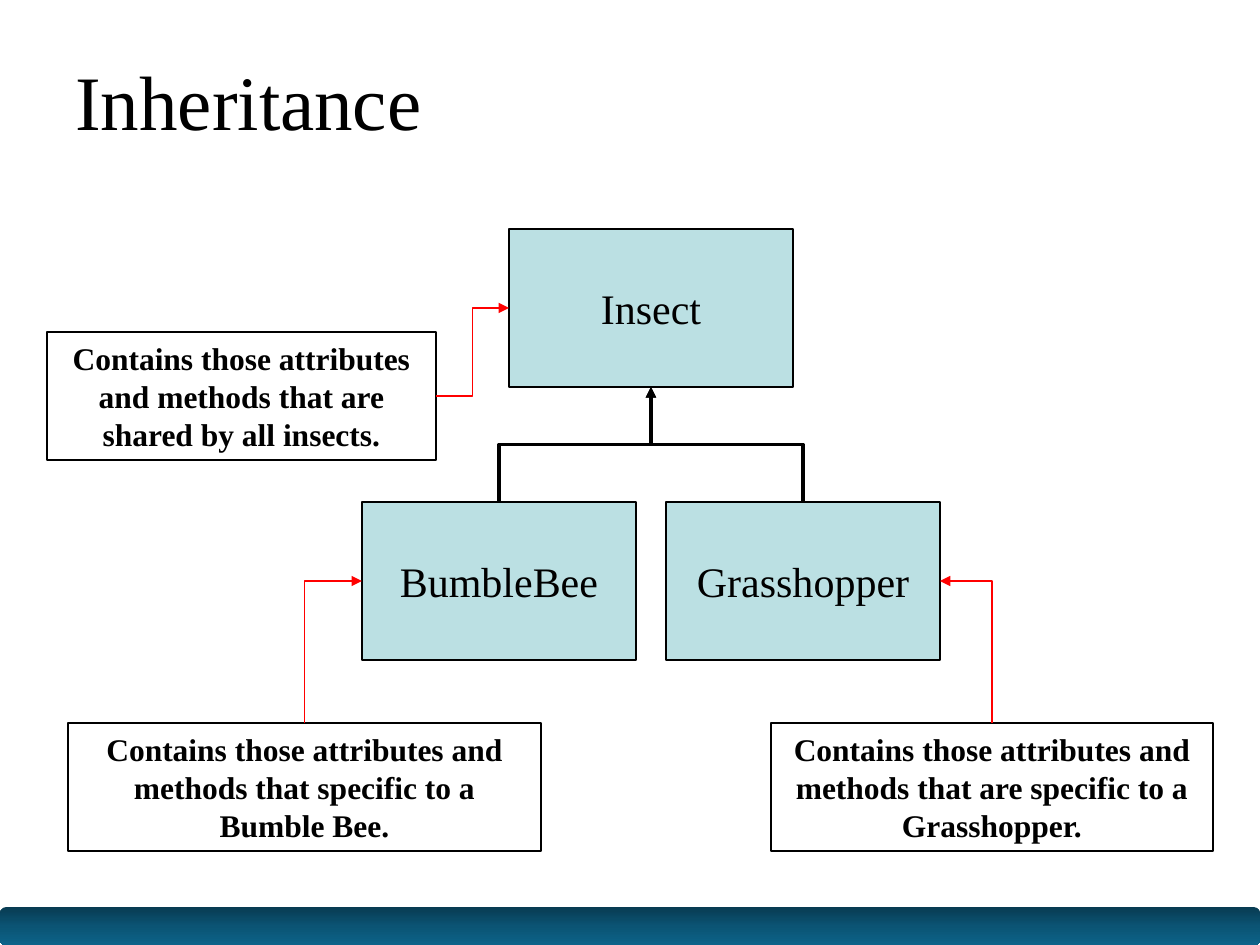
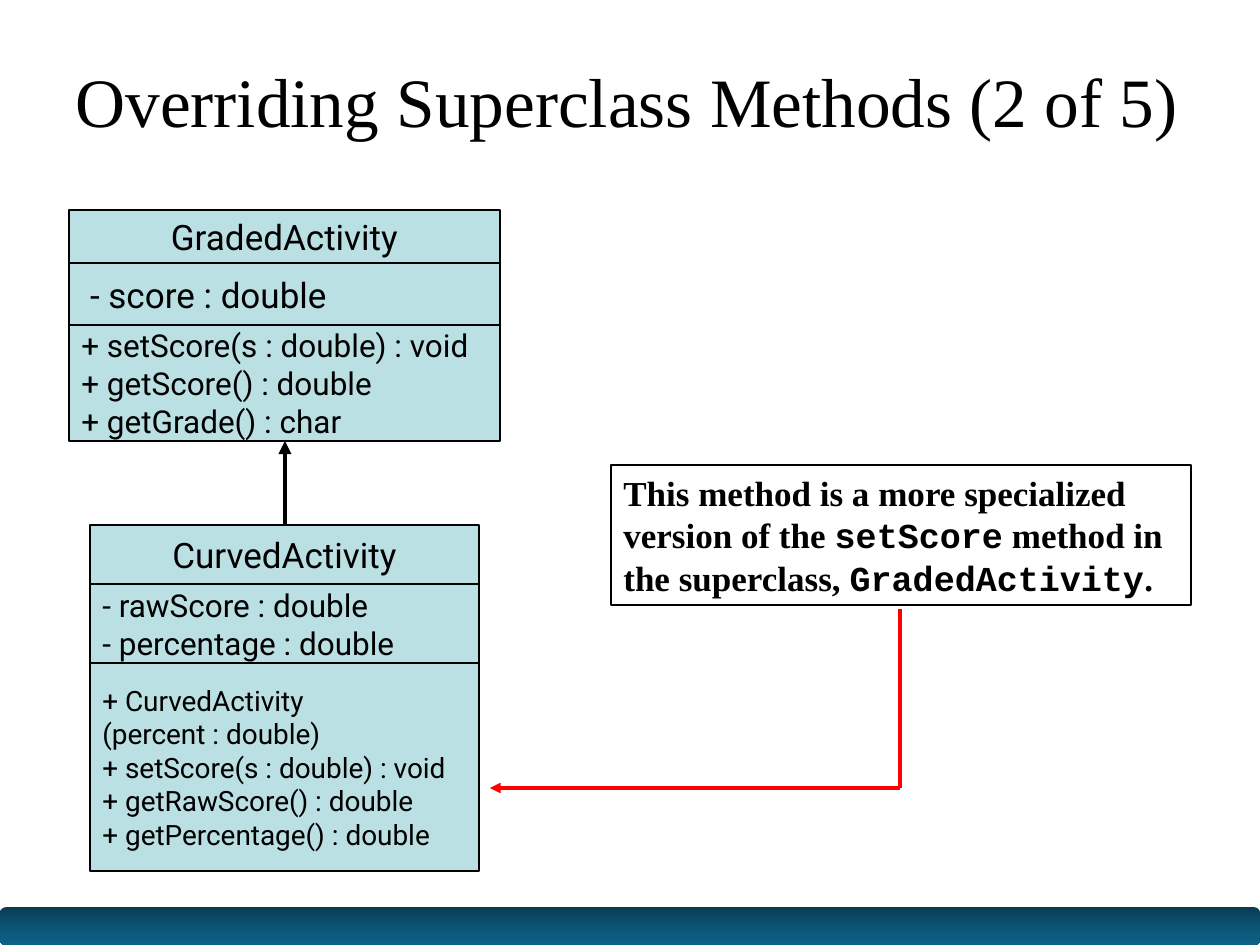
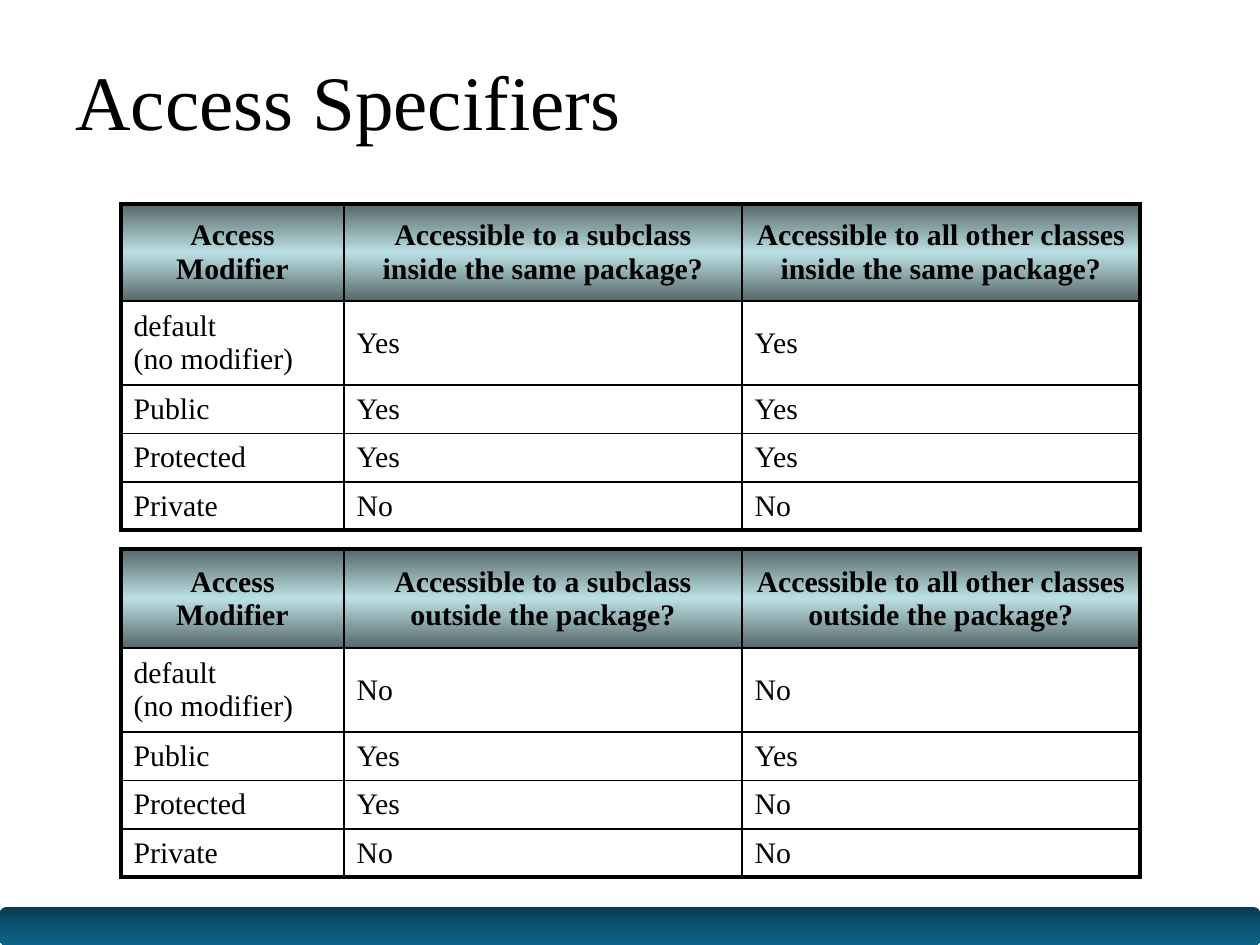
from copy import deepcopy

from lxml.etree import SubElement
from pptx import Presentation
from pptx.dml.color import RGBColor
from pptx.enum.shapes import MSO_CONNECTOR as Link, MSO_SHAPE as Form
from pptx.enum.text import MSO_ANCHOR as Anchor, PP_ALIGN as Align
from pptx.oxml.ns import qn
from pptx.util import Emu, Pt

# Shared look
BLACK, RED, TEAL = "000000", "FF0000", "BBE0E3"
BAND = ["083B52", "0B5474", "0D638A"]
HEAD = ["576869", TEAL, "576869"]
SERIF, SANS, MONO = "Times New Roman", "Roboto", "Courier New"

# Inheritance: class boxes and notes as (text, left, top, width, height)
INSECT = ("Insect", 509, 229, 284, 158)
BEE = ("BumbleBee", 362, 502, 274, 158)
HOPPER = ("Grasshopper", 666, 502, 274, 158)
SHARED = ("Contains those attributes and methods that are shared by all insects.",
          47, 332, 389, 128)
BEE_NOTE = ("Contains those attributes and methods that specific to a Bumble Bee.",
            68, 723, 473, 128)
HOP_NOTE = ("Contains those attributes and methods that are specific to a Grasshopper.",
            771, 723, 442, 128)

# Overriding: class diagrams as left, top, width and parts of
# (height, font size, alignment, lines)
GRADED = (69, 210, 431, [
    (53, 20, Align.CENTER, ["GradedActivity"]),
    (62, 20, Align.LEFT, [" - score : double"]),
    (116, 18, Align.LEFT, ["+ setScore(s : double) : void",
                           "+ getScore() : double",
                           "+ getGrade() : char"]),
])
CURVED = (90, 525, 389, [
    (59, 20, Align.CENTER, ["CurvedActivity"]),
    (79, 18, Align.LEFT, ["- rawScore : double", "- percentage : double"]),
    (208, 16, Align.LEFT, ["+ CurvedActivity", "(percent : double)",
                           "+ setScore(s : double) : void",
                           "+ getRawScore() : double",
                           "+ getPercentage() : double"]),
])
REMARK = [("This method is a more specialized version of the ", SERIF),
          ("setScore", MONO), (" method in the superclass, ", SERIF),
          ("GradedActivity", MONO), (".", SERIF)]

# Access specifiers: (top, head height, heads, answers)
NAMES = ["default\v(no modifier)", "Public", "Protected", "Private"]
COLS = [223, 398, 398]
ROWS = [83, 47, 47, 47]
GRIDS = [
    (204, 97, ["Access Modifier",
               "Accessible to a subclass inside the same package?",
               "Accessible to all other classes inside the same package?"],
     [("Yes", "Yes"), ("Yes", "Yes"), ("Yes", "Yes"), ("No", "No")]),
    (549, 99, ["Access Modifier",
               "Accessible to a subclass outside the package?",
               "Accessible to all other classes outside the package?"],
     [("No", "No"), ("Yes", "Yes"), ("Yes", "No"), ("No", "No")]),
]


def px(*sizes):
    return [Emu(round(size * 914400 / 126)) for size in sizes]


def rgb(color):
    return RGBColor.from_string(color)


def grade(fill, colors):
    """Fill from top to bottom with three even stops."""
    fill.gradient()
    fill.gradient_angle = 270
    last = fill.gradient_stops[1]._gs
    last.addnext(deepcopy(last))
    for i, (stop, color) in enumerate(zip(fill.gradient_stops, colors)):
        stop.position = i / 2
        stop.color.rgb = rgb(color)


def style(par, size, face=SERIF, bold=False, align=Align.LEFT):
    par.alignment = align
    font = par.font
    font.size, font.name, font.bold = Pt(size), face, bold
    font.color.rgb = rgb(BLACK)


def box(slide, place, lines, size, face=SERIF, bold=False, align=Align.CENTER,
        fill=None, width=0.75):
    shape = slide.shapes.add_shape(Form.RECTANGLE, *px(*place))
    shape.shadow.inherit = False
    if fill:
        shape.fill.solid()
        shape.fill.fore_color.rgb = rgb(fill)
    else:
        shape.fill.background()
    shape.line.color.rgb = rgb(BLACK)
    shape.line.width = Pt(width)
    frame = shape.text_frame
    frame.word_wrap = not fill
    frame.vertical_anchor = Anchor.MIDDLE
    frame.text = "\n".join(lines)
    for par in frame.paragraphs:
        style(par, size, face, bold, align)
    return shape


def wire(slide, start, end, color, width, form=Link.STRAIGHT, arrow=True):
    line = slide.shapes.add_connector(form, *px(*start, *end))
    line.line.color.rgb = rgb(color)
    line.line.width = Pt(width)
    if arrow:
        SubElement(line.line._get_or_add_ln(), qn("a:tailEnd"), type="triangle")
    SubElement(line._element.spPr, qn("a:effectLst"))
    return line


def climb(slide, start, end, color, width, bends):
    """Elbow that leaves upwards: a level elbow turned by a quarter."""
    (x1, y1), (x2, y2) = start, end
    mid_x, mid_y = (x1 + x2) / 2, (y1 + y2) / 2
    side = 1 if x2 > x1 else -1
    dx, dy = side * (y1 - y2) / 2, abs(x2 - x1) / 2
    line = wire(slide, (mid_x - dx, mid_y - dy), (mid_x + dx, mid_y + dy),
                color, width, Link.ELBOW)
    props = line._element.spPr
    props.find(qn("a:xfrm")).set("rot", str((270 if side > 0 else 90) * 60000))
    props.find(qn("a:prstGeom")).set("prst", f"bentConnector{bends + 1}")


def spot(item, across, down):
    """Point at a share of the width and height of a box."""
    _, left, top, width, height = item
    return left + across * width, top + down * height


def page(deck, title, size=44):
    slide = deck.slides.add_slide(deck.slide_layouts[6])
    band = slide.shapes.add_shape(Form.ROUNDED_RECTANGLE, *px(0, 907, 1260, 39))
    band.shadow.inherit = False
    band.line.fill.background()
    grade(band.fill, BAND)
    frame = slide.shapes.add_textbox(*px(63, 30, 1134, 151)).text_frame
    frame.word_wrap = True
    frame.vertical_anchor = Anchor.MIDDLE
    frame.text = title
    style(frame.paragraphs[0], size)
    frame.paragraphs[0].line_spacing = 0.9
    return slide


def stack(slide, left, top, width, parts):
    for height, size, align, lines in parts:
        box(slide, (left, top, width, height), lines, size, SANS,
            align=align, fill=TEAL)
        top += height


def edge(cell, side, width):
    line = SubElement(cell._tc.get_or_add_tcPr(), qn(f"a:ln{side}"),
                      w=str(Pt(width)))
    SubElement(SubElement(line, qn("a:solidFill")), qn("a:srgbClr"), val=BLACK)


def grid(slide, top, head, heads, answers):
    rows = [heads] + [(name, *pair) for name, pair in zip(NAMES, answers)]
    highs = [head] + ROWS
    table = slide.shapes.add_table(len(rows), len(COLS), *px(
        121, top, sum(COLS), sum(highs))).table
    table.first_row = table.horz_banding = False
    for col, wide in zip(table.columns, px(*COLS)):
        col.width = wide
    for row, high in zip(table.rows, px(*highs)):
        row.height = high
    for r, row in enumerate(rows):
        for c, text in enumerate(row):
            cell = table.cell(r, c)
            cell.vertical_anchor = Anchor.MIDDLE
            cell.text = text
            style(cell.text_frame.paragraphs[0], 17, bold=r == 0,
                  align=Align.LEFT if r else Align.CENTER)
            outer = {"L": c == 0, "R": c == len(COLS) - 1,
                     "T": r == 0, "B": r == len(rows) - 1}
            for side, thick in outer.items():
                edge(cell, side, 2.25 if thick else 1)
            if r:
                cell.fill.background()
            else:
                grade(cell.fill, HEAD)


def main():
    deck = Presentation()
    deck.slide_width, deck.slide_height = px(1260, 945)

    # Inheritance
    slide = page(deck, "Inheritance")
    for text, *place in (INSECT, HOPPER, BEE):
        box(slide, place, [text], 24, fill=TEAL)
    for child in (BEE, HOPPER):
        climb(slide, spot(child, 0.5, 0), spot(INSECT, 0.5, 1), BLACK, 2, 2)
    for text, *place in (SHARED, BEE_NOTE, HOP_NOTE):
        box(slide, place, [text], 18, bold=True)
    wire(slide, spot(SHARED, 1, 0.5), spot(INSECT, 0, 0.5), RED, 1, Link.ELBOW)
    for note, child, across in ((BEE_NOTE, BEE, 0), (HOP_NOTE, HOPPER, 1)):
        climb(slide, spot(note, 0.5, 0), spot(child, across, 0.5), RED, 1, 1)

    # Overriding superclass methods
    slide = page(deck, "Overriding Superclass Methods (2 of 5)", 39.6)
    stack(slide, *GRADED)
    stack(slide, *CURVED)
    wire(slide, (285, 525), (285, 441), BLACK, 2.5)
    note = box(slide, (611, 465, 580, 140), [""], 20, bold=True,
               align=Align.LEFT, width=1)
    for text, face in REMARK:
        run = note.text_frame.paragraphs[0].add_run()
        run.text, run.font.name = text, face
    wire(slide, (900, 788), (490, 788), RED, 2)
    wire(slide, (900, 609), (900, 788), RED, 2, arrow=False)

    # Access specifiers
    slide = page(deck, "Access Specifiers")
    for item in GRIDS:
        grid(slide, *item)

    deck.save("out.pptx")


if __name__ == "__main__":
    main()
